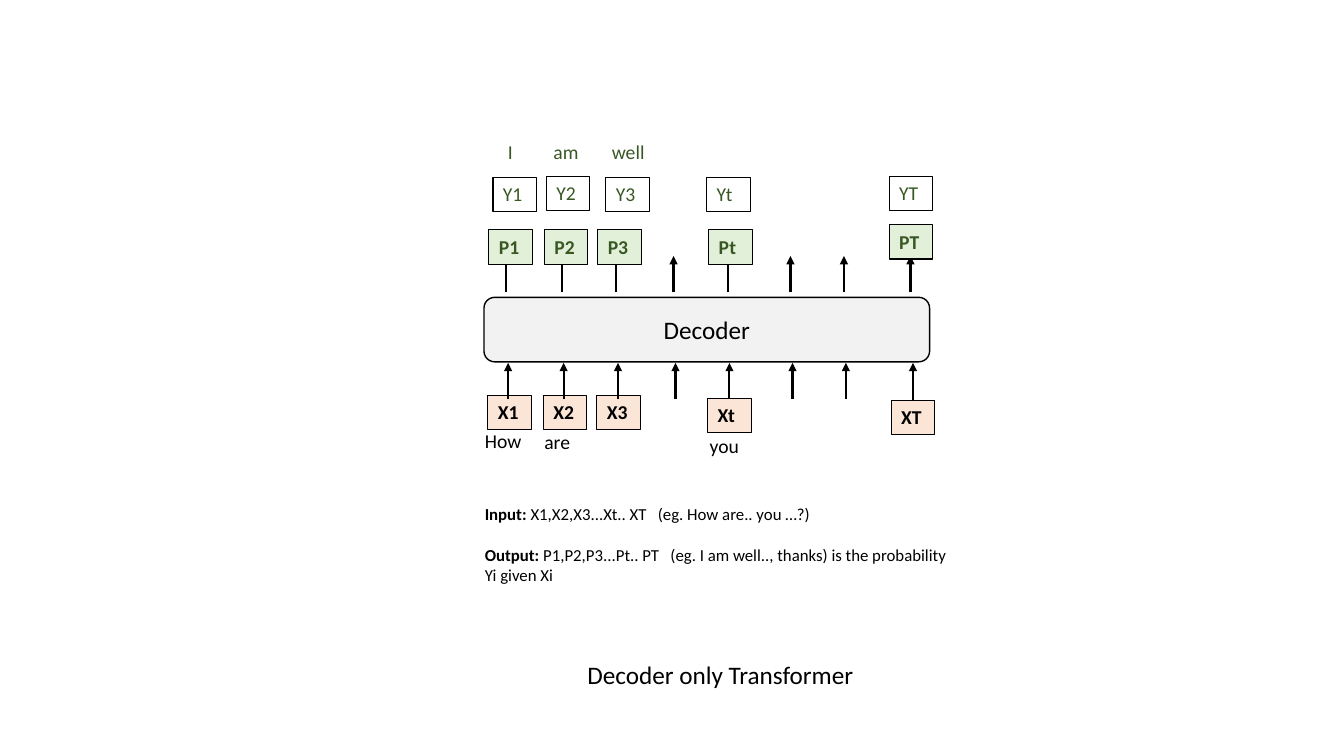
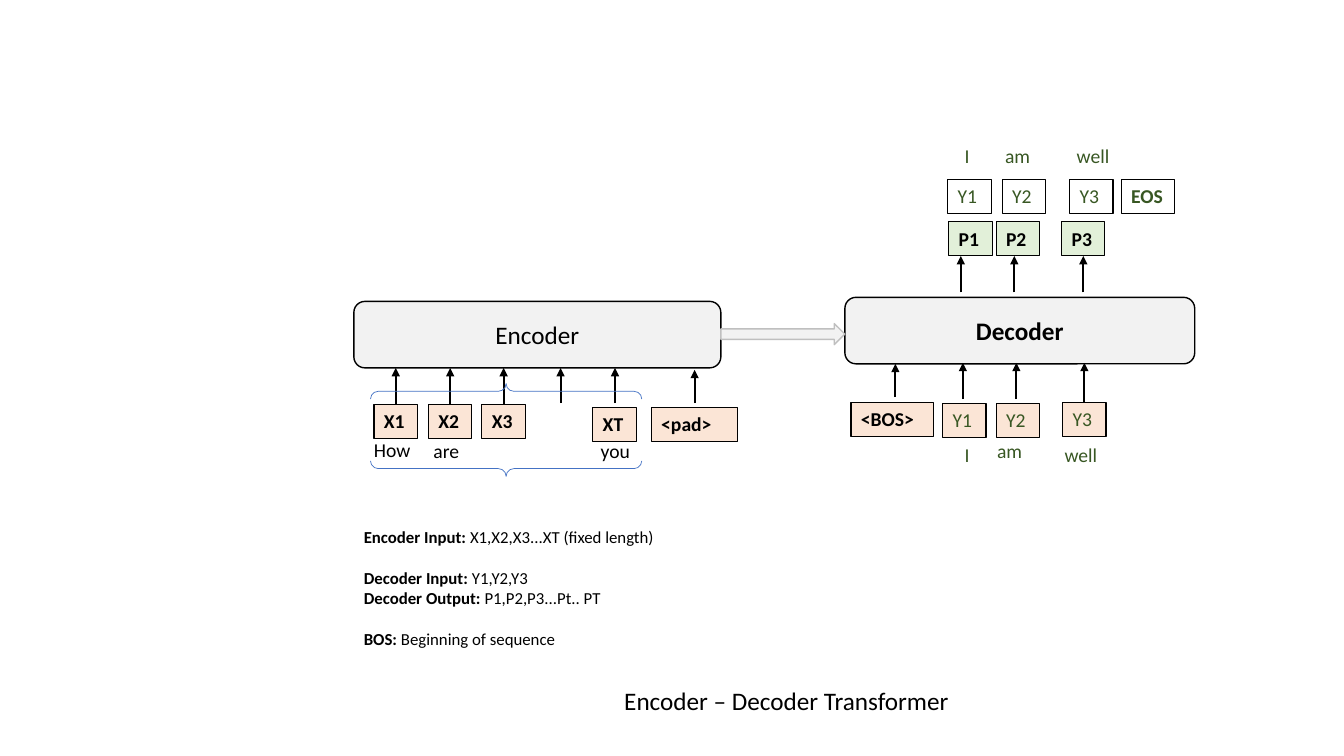
from dataclasses import dataclass

from lxml.etree import SubElement
from pptx import Presentation
from pptx.dml.color import RGBColor
from pptx.enum.shapes import MSO_CONNECTOR as Connector, MSO_SHAPE as Shape
from pptx.enum.text import MSO_ANCHOR as Anchor, MSO_AUTO_SIZE as AutoSize, PP_ALIGN as Align
from pptx.oxml.ns import qn
from pptx.util import Inches, Pt


@dataclass(frozen=True)
class Theme:
    font: str = "Calibri"
    ink: str = "000000"
    green: str = "385723"
    paper: str = "FFFFFF"
    peach: str = "FBE5D6"
    mint: str = "E2F0D9"
    gray: str = "F2F2F2"
    silver: str = "BFBFBF"
    blue: str = "4472C4"
    heading: int = 18
    token: int = 14
    note: int = 12
    note_gap: float = 14.65


THEME = Theme()

# token style: fill, text colour, bold; a style without fill has no box
STYLES = {
    "input": (THEME.peach, THEME.ink, True),
    "shifted": (THEME.peach, THEME.green, False),
    "probability": (THEME.mint, THEME.green, True),
    "dark probability": (THEME.mint, THEME.ink, True),
    "output": (THEME.paper, THEME.green, False),
    "end": (THEME.paper, THEME.green, True),
    "word": (None, THEME.ink, False),
    "green word": (None, THEME.green, False),
}
TOKEN_WIDTH, WORD_WIDTH, TOKEN_HEIGHT = 0.43, 0.58, 0.34
SPECIAL_WIDTHS = {"I": 0.3, "<pad>": 0.86, "<BOS>": 0.82, "EOS": 0.53}
JOIN_REACH = 0.03

# blocks: text, left, top, width, height, bold
# rows: style, top, tokens as (text, left, optional drop below the row)
# arrows: start, end, centres
DECODER_STEPS = [5.02, 5.57, 6.11, 6.68, 7.22, 7.84, 8.37, 9.03]
SHIFTED_STEPS = [9.53, 10.06, 10.72]
FEED_SHIFT = 0.02  # arrows into a decoder stand slightly right of those out of it


def decoder_arrows(steps):
    return [(3.96, 3.6, [x + FEED_SHIFT for x in steps]), (2.9, 2.54, steps)]


SLIDES = [
    {
        "title": ("Decoder only Transformer", 4.71, 6.49, 4.87),
        "blocks": [("Decoder", 4.8, 2.95, 4.42, 0.64, False)],
        "rows_below_arrows": [
            ("input", 3.92, [("X1", 4.84), ("X2", 5.39), ("X3", 5.92),
                             ("Xt", 7.02, 0.03), ("XT", 8.84, 0.05)]),
            ("word", 4.21, [("How", 4.71), ("are", 5.3, 0.01), ("you", 6.94, 0.05)]),
        ],
        "arrows": decoder_arrows(DECODER_STEPS),
        "rows_above_arrows": [
            ("probability", 2.28, [("P1", 4.85), ("P2", 5.4), ("P3", 5.93),
                                   ("Pt", 7.03), ("PT", 8.82, -0.05)]),
            ("output", 1.76, [("Y1", 4.89), ("Y2", 5.42, -0.01), ("Y3", 6.01),
                              ("Yt", 7.01), ("YT", 8.82, -0.01)]),
            ("green word", 1.34, [("I", 4.94), ("am", 5.39), ("well", 5.97)]),
        ],
        "notes_box": (4.71, 4.95, 4.87, 1.51),
        # label, text, whether a gap comes first
        "notes": [
            ("Input:", " X1,X2,X3...Xt.. XT   (eg. How are.. you …?)", False),
            ("Output:", " P1,P2,P3...Pt.. PT   (eg. I am well.., thanks) is the probability Yi given Xi", True),
        ],
    },
    {
        "title": ("Encoder – Decoder Transformer", 3.64, 6.75, 8.32),
        "blocks": [("Encoder", 3.51, 2.99, 3.64, 0.66, False),
                   ("Decoder", 8.38, 2.95, 3.47, 0.66, True)],
        "rows_below_arrows": [
            ("input", 4.01, [("X1", 3.71), ("X2", 4.25), ("X3", 4.78), ("XT", 5.88, 0.03),
                             ("<pad>", 6.46, 0.03), ("<BOS>", 8.44, -0.02)]),
            ("shifted", 4, [("Y1", 9.35), ("Y2", 9.88), ("Y3", 10.54, -0.01)]),
            ("word", 4.3, [("How", 3.61), ("are", 4.2, 0.01), ("you", 5.86, 0.01)]),
            ("green word", 4.34, [("I", 9.47), ("am", 9.79, -0.03), ("well", 10.46)]),
            ("dark probability", 2.2, [("P1", 9.41), ("P2", 9.88), ("P3", 10.53)]),
            ("output", 1.78, [("Y1", 9.4), ("Y2", 9.94), ("Y3", 10.61)]),
            ("end", 1.78, [("EOS", 11.12)]),
            ("green word", 1.38, [("I", 9.47), ("am", 9.87), ("well", 10.58)]),
        ],
        "arrows": [(4, 3.65, [3.9, 4.45, 4.99, 5.56, 6.1]), (4, 3.67, [6.89]),
                   (3.94, 3.61, [8.88])] + decoder_arrows(SHIFTED_STEPS),
        "rows_above_arrows": [],
        "brace": (4.56, 2.92, 0.92, 2.69),
        "handover": (7.15, 3.21, 1.23, 0.21),
        "notes_box": (3.51, 5.18, 4.21, 1.51),
        "notes": [
            ("Encoder Input:", " X1,X2,X3...XT (fixed length)", False),
            ("Decoder Input:", " Y1,Y2,Y3", True),
            ("Decoder Output:", " P1,P2,P3...Pt.. PT", False),
            ("BOS: ", "Beginning of sequence", True),
        ],
    },
]


def inches(*lengths):
    return [Inches(length) for length in lengths]


def style_run(run, size, color=THEME.ink, bold=False):
    font = run.font
    font.name, font.size, font.bold = THEME.font, Pt(size), bold
    font.color.rgb = RGBColor.from_string(color)


def set_text(frame, text, size, color=THEME.ink, bold=False, align=Align.LEFT, anchor=Anchor.TOP):
    frame.word_wrap = True
    frame.auto_size = AutoSize.NONE
    frame.vertical_anchor = anchor
    frame.text = text
    paragraph = frame.paragraphs[0]
    paragraph.alignment = align
    style_run(paragraph.runs[0], size, color, bold)


def add_outlined(slide, kind, box, fill, line, weight):
    shape = slide.shapes.add_shape(kind, *inches(*box))
    shape.shadow.inherit = False
    if fill:
        shape.fill.solid()
        shape.fill.fore_color.rgb = RGBColor.from_string(fill)
    else:
        shape.fill.background()
    shape.line.color.rgb = RGBColor.from_string(line)
    shape.line.width = Pt(weight)
    return shape


def add_title(slide, text, left, top, width):
    title = slide.shapes.title
    title.left, title.top, title.width, title.height = inches(left, top, width, 0.4)
    set_text(title.text_frame, text, THEME.heading, align=Align.CENTER)


def add_block(slide, text, left, top, width, height, bold):
    block = add_outlined(slide, Shape.ROUNDED_RECTANGLE, (left, top, width, height),
                         THEME.gray, THEME.ink, 1)
    set_text(block.text_frame, text, THEME.heading, bold=bold,
             align=Align.CENTER, anchor=Anchor.MIDDLE)


def add_rows(slide, rows):
    """Draw the token rows and return the boxed tokens."""
    boxed = []
    for style, top, tokens in rows:
        fill, color, bold = STYLES[style]
        for text, left, *drop in tokens:
            width = SPECIAL_WIDTHS.get(text, TOKEN_WIDTH if fill else WORD_WIDTH)
            box = (left, top + sum(drop), width, TOKEN_HEIGHT)
            if fill:
                token = add_outlined(slide, Shape.RECTANGLE, box, fill, THEME.ink, 0.75)
                boxed.append(token)
            else:
                token = slide.shapes.add_textbox(*inches(*box))
            set_text(token.text_frame, text, THEME.token, color, bold)
    return boxed


def token_at(tokens, x, y, edge):
    """Find the token whose middle of the given edge (0 top, 2 bottom) lies at x, y."""
    for token in tokens:
        edge_y = token.top + (token.height if edge == 2 else 0)
        gap_x = abs(token.left + token.width / 2 - Inches(x))
        if max(gap_x, abs(edge_y - Inches(y))) <= Inches(JOIN_REACH):
            return token
    return None


def add_arrow(slide, x, start, end, tokens):
    source, target = token_at(tokens, x, start, 0), token_at(tokens, x, end, 2)
    joined = source or target
    center = joined.left + joined.width // 2 if joined else Inches(x)
    arrow = slide.shapes.add_connector(Connector.STRAIGHT, center, Inches(start), center, Inches(end))
    if source:
        arrow.begin_connect(source, 0)
    if target:
        arrow.end_connect(target, 2)
    arrow.line.color.rgb = RGBColor.from_string(THEME.ink)
    arrow.line.width = Pt(1.5)
    SubElement(arrow.line._get_or_add_ln(), qn("a:tailEnd"), type="triangle")
    SubElement(arrow._element.spPr, qn("a:effectLst"))


def add_notes(slide, box, notes):
    frame = slide.shapes.add_textbox(*inches(*box)).text_frame
    frame.word_wrap = True
    for index, (label, text, gap) in enumerate(notes):
        paragraph = frame.add_paragraph() if index else frame.paragraphs[0]
        paragraph.space_before = Pt(THEME.note_gap if gap else 0)
        for part, bold in ((label, True), (text, False)):
            run = paragraph.add_run()
            run.text = part
            style_run(run, THEME.note, bold=bold)


def build_slide(deck, content):
    slide = deck.slides.add_slide(deck.slide_layouts.get_by_name("Title Only"))
    add_title(slide, *content["title"])
    for block in content["blocks"]:
        add_block(slide, *block)
    tokens = add_rows(slide, content["rows_below_arrows"])
    for start, end, centers in content["arrows"]:
        for x in centers:
            add_arrow(slide, x, start, end, tokens)
    add_rows(slide, content["rows_above_arrows"])
    if "brace" in content:
        brace = add_outlined(slide, Shape.DOUBLE_BRACE, content["brace"], None, THEME.blue, 0.5)
        brace.rotation = 270
    if "handover" in content:
        add_outlined(slide, Shape.RIGHT_ARROW, content["handover"], THEME.gray, THEME.silver, 1)
    add_notes(slide, content["notes_box"], content["notes"])


def main():
    deck = Presentation()
    deck.slide_width, deck.slide_height = inches(13.33, 7.5)
    for content in SLIDES:
        build_slide(deck, content)
    deck.save("out.pptx")


if __name__ == "__main__":
    main()
